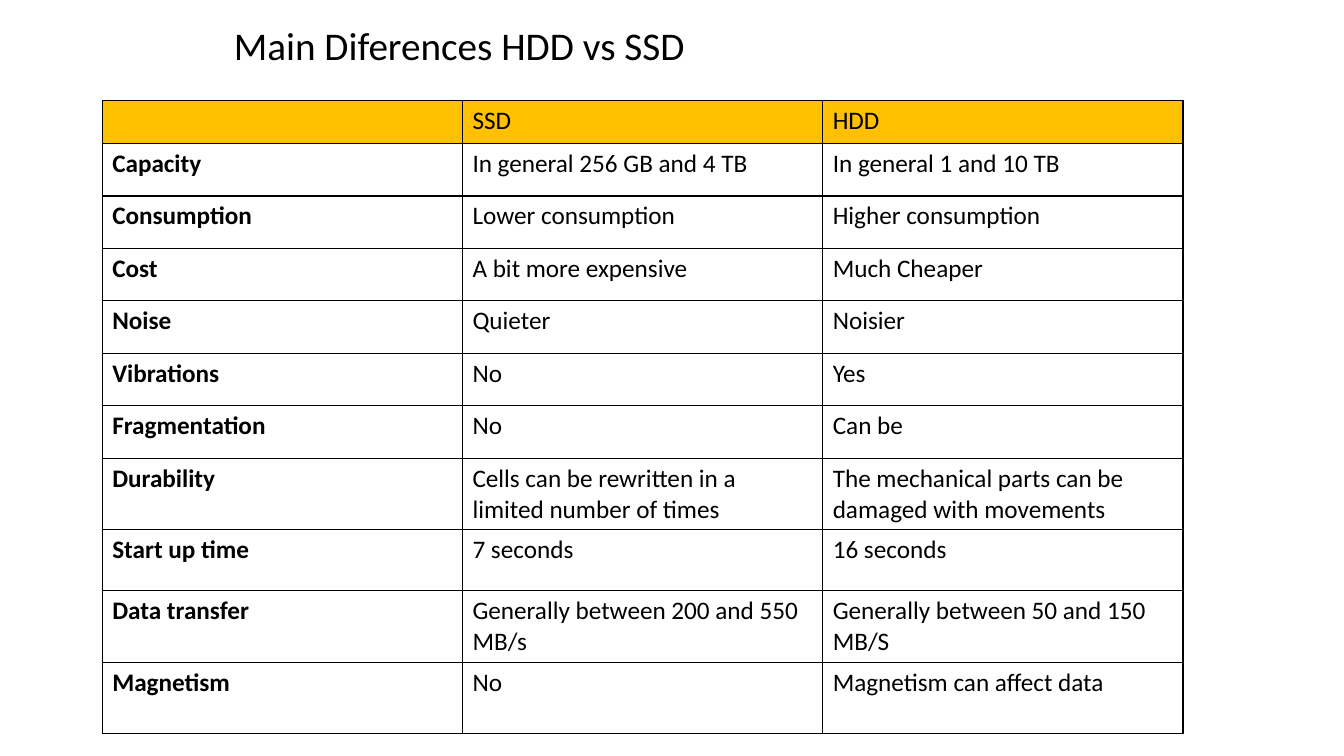
from dataclasses import dataclass

from lxml.etree import SubElement as Sub
from pptx import Presentation
from pptx.dml.color import RGBColor as Rgb
from pptx.enum.text import MSO_ANCHOR as Anchor
from pptx.oxml.ns import qn
from pptx.util import Pt


@dataclass(frozen=True)
class Theme:
    font: str = "Calibri"
    ink: str = "000000"
    head: str = "FFC000"
    title: float = 28
    body: float = 18
    rule: float = 1


HEAD = ("", "SSD", "HDD")
FACTS = [
    ("Capacity", "In general 256 GB and 4 TB", "In general 1 and 10 TB"),
    ("Consumption", "Lower consumption", "Higher consumption"),
    ("Cost", "A bit more expensive", "Much Cheaper"),
    ("Noise", "Quieter", "Noisier"),
    ("Vibrations", "No", "Yes"),
    ("Fragmentation", "No", "Can be"),
    ("Durability", "Cells can be rewritten in a limited number of times",
     "The mechanical parts can be damaged with movements"),
    ("Start up time", "7 seconds", "16 seconds"),
    ("Data transfer", "Generally between 200 and 550 MB/s",
     "Generally between 50 and 150 MB/S"),
    ("Magnetism", "No", "Magnetism can affect data"),
]
HIGHS = [30.5] + [37.5] * 6 + [50.5, 43.5, 51, 51]


class Deck:
    def __init__(self, theme, wide, high):
        self.theme = theme
        self.file = Presentation()
        self.file.slide_width, self.file.slide_height = Pt(wide), Pt(high)
        self.slide = self.file.slides.add_slide(self.file.slide_layouts[6])

    def label(self, frame, text, size, bold=False):
        para = frame.paragraphs[0]
        run = para.add_run()
        run.text = text
        form = {"name": self.theme.font, "size": Pt(size), "bold": bold}
        for key, val in form.items():
            setattr(run.font, key, val)
        run.font.color.rgb = Rgb.from_string(self.theme.ink)
        return para

    def title(self, text, left, top, wide, high):
        box = self.slide.shapes.add_textbox(Pt(left), Pt(top), Pt(wide), Pt(high))
        frame = box.text_frame
        form = {"word_wrap": True, "vertical_anchor": Anchor.MIDDLE}
        for key, val in form.items():
            setattr(frame, key, val)
        self.label(frame, text, self.theme.title).line_spacing = 0.9

    def edge(self, cell):
        props = cell._tc.get_or_add_tcPr()
        for side in ("lnL", "lnR", "lnT", "lnB"):
            line = Sub(props, qn(f"a:{side}"), w=str(Pt(self.theme.rule)))
            fill = Sub(line, qn("a:solidFill"))
            Sub(fill, qn("a:srgbClr"), val=self.theme.ink)

    def table(self, rows, left, top, wide, highs):
        count = len(rows[0])
        grid = self.slide.shapes.add_table(
            len(rows), count, Pt(left), Pt(top), Pt(wide), Pt(sum(highs))).table
        for flag in ("first_row", "horz_banding"):
            setattr(grid, flag, False)
        for col in grid.columns:
            col.width = Pt(wide / count)
        for r, (row, high) in enumerate(zip(rows, highs)):
            grid.rows[r].height = Pt(high)
            for c, text in enumerate(row):
                cell = grid.cell(r, c)
                # Borders come before the fill in the cell's XML
                self.edge(cell)
                if r == 0:
                    cell.fill.solid()
                    cell.fill.fore_color.rgb = Rgb.from_string(self.theme.head)
                else:
                    cell.fill.background()
                if text:
                    self.label(cell.text_frame, text, self.theme.body, c == 0)


def main():
    deck = Deck(Theme(), 960, 540)
    # Comparison table
    deck.table([HEAD] + FACTS, 73, 72, 772, HIGHS)
    # Heading
    deck.title("Main Diferences HDD vs SSD", 160, 7, 640, 54)
    deck.file.save("out.pptx")


if __name__ == "__main__":
    main()
